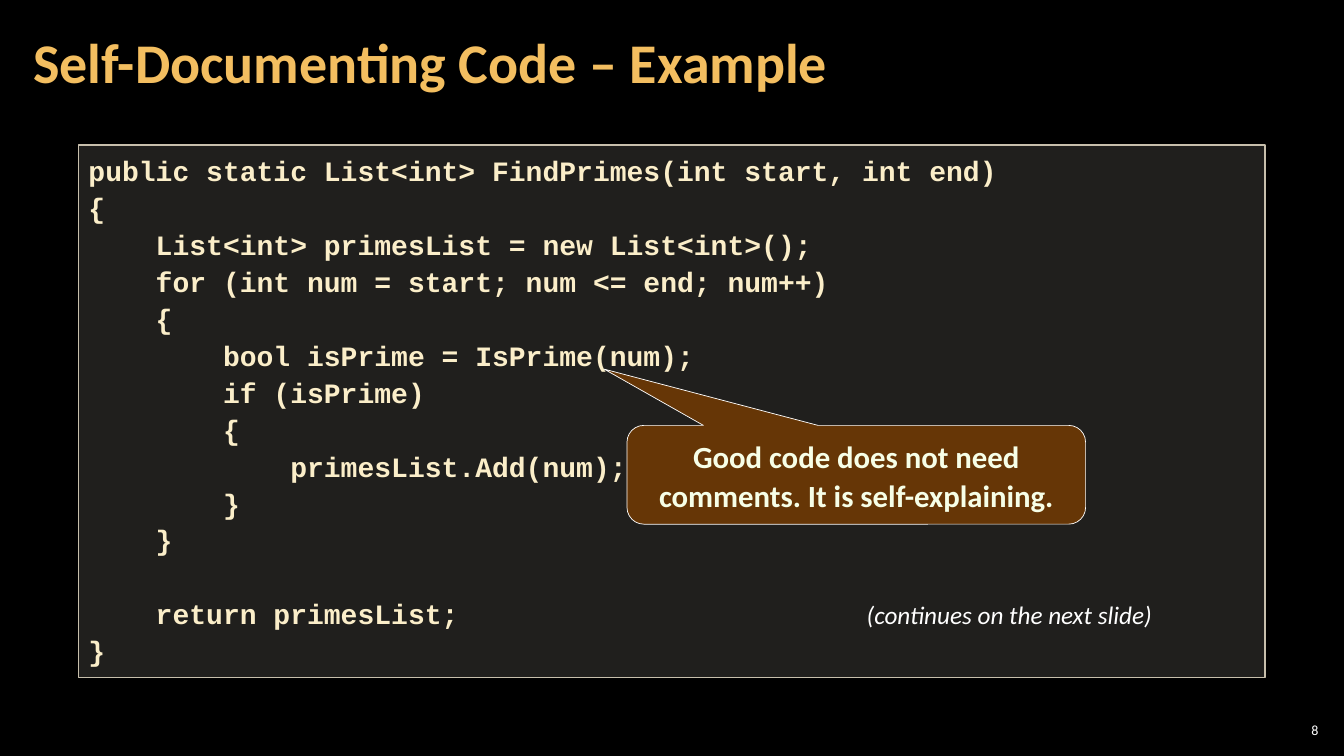
from dataclasses import dataclass

from lxml import etree
from pptx import Presentation, util as u
from pptx.dml import color
from pptx.enum import shapes, text
from pptx.oxml import ns

COLUMNS, ROWS = 160, 90
CELL = u.Inches(7.5) / ROWS
COLORS = {
    "background": "000000",
    "title": "F3BE60",
    "panel": "D9D5C7",
    "panel_line": "C7BFAC",
    "code": "FBEEC9",
    "callout": "663606",
    "callout_text": "F7FFE7",
    "white": "FFFFFF",
}
CODE = """public static List<int> FindPrimes(int start, int end)
{
    List<int> primesList = new List<int>();
    for (int num = start; num <= end; num++)
    {
        bool isPrime = IsPrime(num);
        if (isPrime)
        {
            primesList.Add(num);
        }
    }

    return primesList;
}"""
CODE_LINE_HEIGHT = 26.4


@dataclass(frozen=True)
class Area:
    column: float
    row: float
    columns: float
    rows: float

    def bounds(self) -> tuple[int, ...]:
        cells = (self.column, self.row, self.columns, self.rows)
        return tuple(round(count * CELL) for count in cells)


@dataclass(frozen=True)
class Panel:
    area: Area
    preset: shapes.MSO_SHAPE
    fill: str
    line: str
    line_width: float
    opacity: int = 100
    adjustments: tuple[float, ...] = ()


TITLE = Area(2.52, 0.48, 125.64, 14.52)
NUMBER = Area(151.8, 85.68, 5.64, 2.52)
CONTINUATION = Area(102, 70.8, 36.84, 4.8)
CODE_PANEL = Panel(Area(9.36, 17.28, 141.24, 63.36), shapes.MSO_SHAPE.RECTANGLE,
                   "panel", "panel_line", 1, opacity=15)
CALLOUT = Panel(Area(74.64, 50.64, 54.6, 11.76),
                shapes.MSO_SHAPE.ROUNDED_RECTANGULAR_CALLOUT,
                "callout", "white", 0.5, adjustments=(-0.55, -1.07, 0.17))


def rgb(name: str) -> color.RGBColor:
    return color.RGBColor.from_string(COLORS[name])


def write(box, content: str, *, size: float, ink: str, font: str = "Calibri",
          bold: bool = False, italic: bool = False, align=text.PP_ALIGN.LEFT,
          anchor=text.MSO_ANCHOR.TOP, spacing=None, wrap: bool = True,
          gap: float = 0, inset: tuple[float, float] = (0.1, 0.05)) -> None:
    frame = box.text_frame
    frame.auto_size = text.MSO_AUTO_SIZE.NONE
    frame.word_wrap = wrap
    frame.vertical_anchor = anchor
    frame.margin_left = frame.margin_right = u.Inches(inset[0])
    frame.margin_top = frame.margin_bottom = u.Inches(inset[1])
    para, before = frame.paragraphs[0], 0
    for index, line in enumerate(content.split("\n")):
        if not line:
            before += gap
            continue
        if index:
            para = frame.add_paragraph()
        para.alignment = align
        para.line_spacing = spacing
        para.space_before = u.Pt(before)
        before = 0
        span = para.add_run()
        span.text = line
        span.font.name = font
        span.font.size = u.Pt(size)
        span.font.bold = bold
        span.font.italic = italic
        span.font.color.rgb = rgb(ink)


def add_panel(page, panel: Panel):
    box = page.shapes.add_shape(panel.preset, *panel.area.bounds())
    box.shadow.inherit = False
    box.fill.solid()
    box.fill.fore_color.rgb = rgb(panel.fill)
    if panel.opacity < 100:
        shade = box.fill._xPr.find(".//" + ns.qn("a:srgbClr"))
        etree.SubElement(shade, ns.qn("a:alpha"), val=str(panel.opacity * 1000))
    box.line.color.rgb = rgb(panel.line)
    box.line.width = u.Pt(panel.line_width)
    for index, value in enumerate(panel.adjustments):
        box.adjustments[index] = value
    return box


def main() -> None:
    deck = Presentation()
    deck.slide_width = round(COLUMNS * CELL)
    deck.slide_height = round(ROWS * CELL)
    page = deck.slides.add_slide(deck.slide_layouts[5])
    page.background.fill.solid()
    page.background.fill.fore_color.rgb = rgb("background")

    title = page.shapes.title
    title.left, title.top, title.width, title.height = TITLE.bounds()
    write(title, "Self-Documenting Code – Example", size=40, ink="title", bold=True,
          anchor=text.MSO_ANCHOR.MIDDLE, spacing=0.9, inset=(0.12, 0.04))

    write(add_panel(page, CODE_PANEL), CODE, size=20, ink="code", font="Courier New",
          bold=True, spacing=1.1, gap=CODE_LINE_HEIGHT)

    write(page.shapes.add_textbox(*CONTINUATION.bounds()),
          "(continues on the next slide)", size=18, ink="white", italic=True, wrap=False)

    write(add_panel(page, CALLOUT),
          "Good code does not need comments. It is self-explaining.",
          size=22, ink="callout_text", bold=True, align=text.PP_ALIGN.CENTER,
          anchor=text.MSO_ANCHOR.MIDDLE, spacing=u.Pt(28))

    write(page.shapes.add_textbox(*NUMBER.bounds()), "8", size=10, ink="white",
          align=text.PP_ALIGN.RIGHT, anchor=text.MSO_ANCHOR.MIDDLE, inset=(0.04, 0.04))

    deck.save("out.pptx")


if __name__ == "__main__":
    main()
